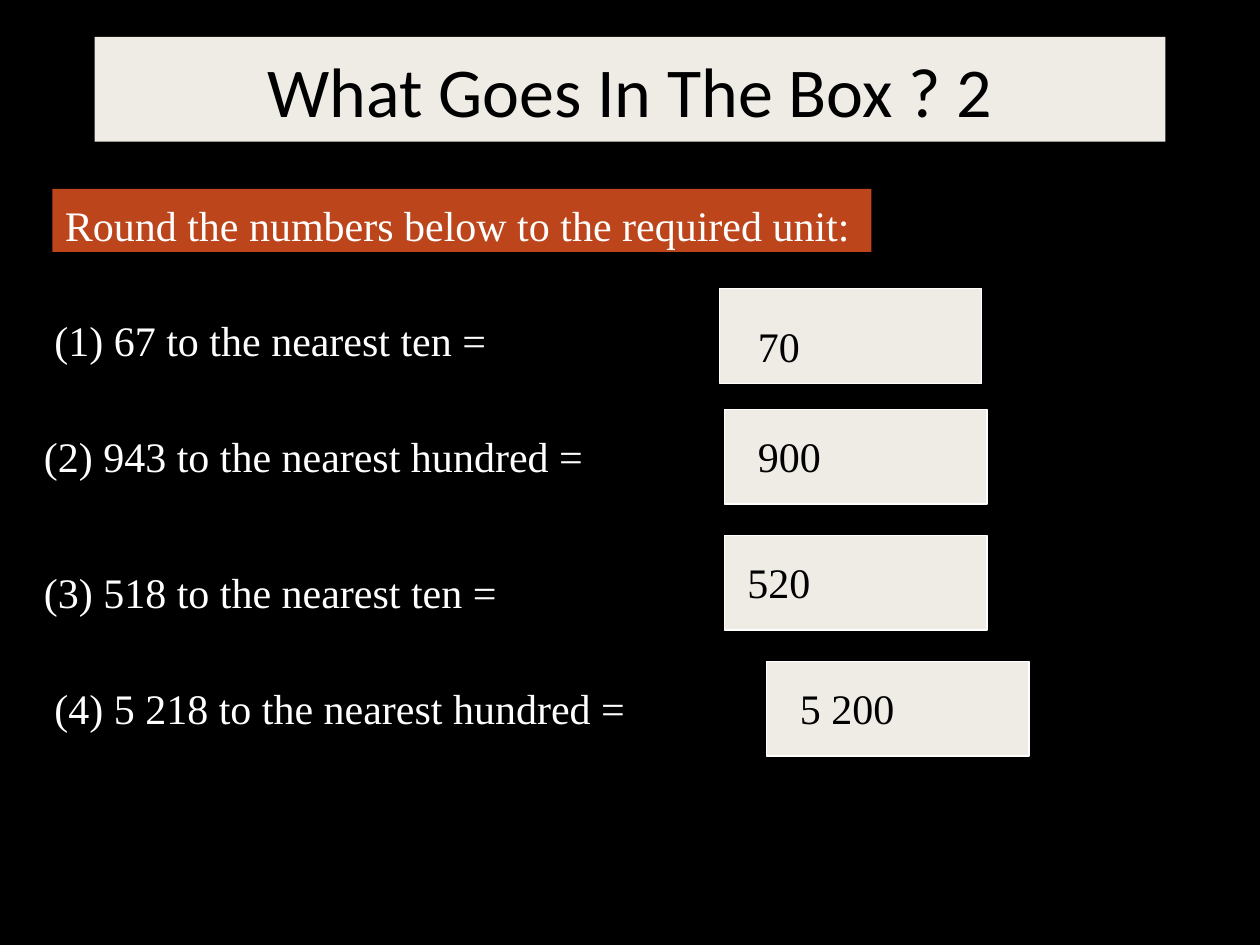
from dataclasses import dataclass

from pptx import Presentation
from pptx.dml.color import RGBColor
from pptx.enum.shapes import MSO_SHAPE
from pptx.enum.text import MSO_ANCHOR, MSO_AUTO_SIZE, PP_ALIGN
from pptx.shapes.autoshape import Shape
from pptx.slide import Slide
from pptx.util import Pt

RECT = MSO_SHAPE.RECTANGLE
TOP, MIDDLE = MSO_ANCHOR.TOP, MSO_ANCHOR.MIDDLE
LEFT, CENTER = PP_ALIGN.LEFT, PP_ALIGN.CENTER
NO_FIT = MSO_AUTO_SIZE.NONE

COLORS = {"black": "000000", "white": "FFFFFF", "cream": "EFEBE5", "rust": "BC451B"}
LINE_H = 36
BOX_W, BOX_H = 150, 54


@dataclass
class Label:
    text: str
    left: float
    top: float
    width: float


@dataclass
class Task:
    prompt: Label
    box: tuple[float, float]
    answer: Label


TASKS = [
    Task(Label("(1) 67 to the nearest ten =", 24, 174, 336),
         (411, 165), Label("70", 426, 177, 126)),
    Task(Label("(2) 943 to the nearest hundred =", 18, 240, 360),
         (414, 234), Label("900", 426, 240, 120)),
    Task(Label("(3) 518 to the nearest ten =", 18, 318, 384),
         (414, 306), Label("520", 420, 312, 126)),
    Task(Label("(4) 5 218 to the nearest hundred =", 24, 384, 420),
         (438, 378), Label("5 200", 450, 384, 126)),
]


def color(name: str) -> RGBColor:
    return RGBColor.from_string(COLORS[name])


def paint(shape: Shape, fill: str) -> None:
    shape.fill.solid()
    shape.fill.fore_color.rgb = color(fill)


def write(shape: Shape, text: str, *, ink: str = "white", size: float = 24,
          font: str = "Times New Roman", align: PP_ALIGN = LEFT,
          anchor: MSO_ANCHOR = TOP, above: float = 6, below: float = 2) -> None:
    frame = shape.text_frame
    frame.text = text
    frame.word_wrap = True
    frame.auto_size = NO_FIT
    frame.vertical_anchor = anchor
    frame.margin_top, frame.margin_bottom = Pt(above), Pt(below)
    para = frame.paragraphs[0]
    para.alignment = align
    para.font.name = font
    para.font.size = Pt(size)
    para.font.color.rgb = color(ink)


def add_rect(slide: Slide, left: float, top: float, width: float, height: float,
             fill: str, edge: str | None = None) -> Shape:
    rect = slide.shapes.add_shape(RECT, Pt(left), Pt(top), Pt(width), Pt(height))
    rect.shadow.inherit = False
    paint(rect, fill)
    if edge:
        rect.line.color.rgb = color(edge)
        rect.line.width = Pt(0.75)
    else:
        rect.line.fill.background()
    return rect


def add_label(slide: Slide, label: Label, ink: str) -> None:
    box = slide.shapes.add_textbox(Pt(label.left), Pt(label.top),
                                   Pt(label.width), Pt(LINE_H))
    write(box, label.text, ink=ink)


def add_title(slide: Slide, text: str) -> None:
    title = slide.shapes.title
    title.left, title.top = Pt(54), Pt(21)
    title.width, title.height = Pt(612), Pt(60)
    paint(title, "cream")
    write(title, text, ink="black", size=40, font="Calibri", align=CENTER,
          anchor=MIDDLE, above=3.6, below=3.6)


def main() -> None:
    deck = Presentation()
    deck.slide_width, deck.slide_height = Pt(720), Pt(540)
    slide = deck.slides.add_slide(deck.slide_layouts[5])
    slide.background.fill.solid()
    slide.background.fill.fore_color.rgb = color("black")

    add_title(slide, "What Goes In The Box ? 2")
    banner = add_rect(slide, 30, 108, 468, LINE_H, "rust")
    write(banner, "Round the numbers below to the required unit:")

    for task in TASKS:
        add_label(slide, task.prompt, "white")
    for task in TASKS:
        add_rect(slide, *task.box, BOX_W, BOX_H, "cream", edge="white")
    for task in TASKS:
        add_label(slide, task.answer, "black")

    deck.save("out.pptx")


if __name__ == "__main__":
    main()
